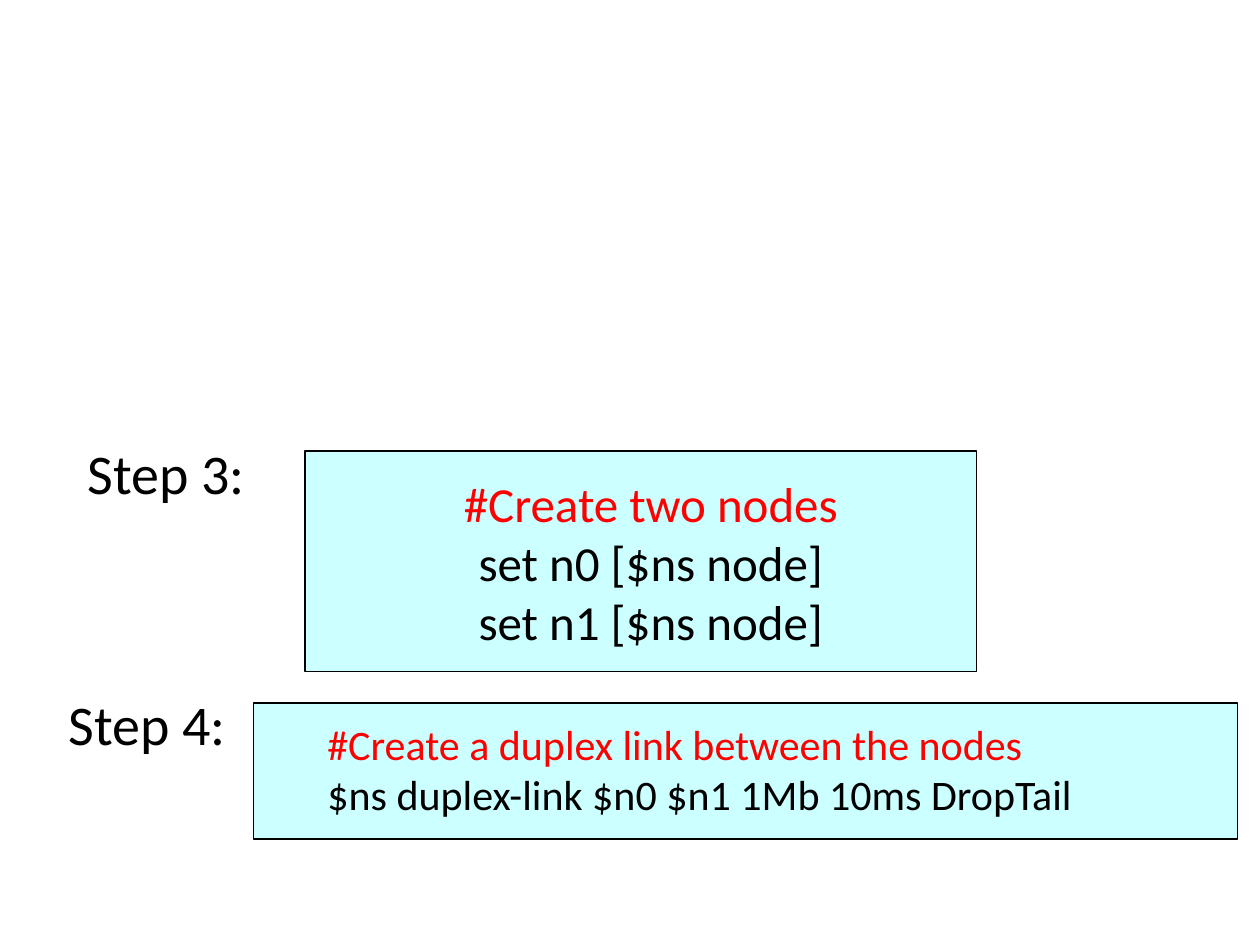
from pptx import Presentation
from pptx.dml.color import RGBColor
from pptx.enum.shapes import MSO_SHAPE
from pptx.enum.text import MSO_AUTO_SIZE, PP_ALIGN
from pptx.util import Inches, Pt

RECT = MSO_SHAPE.RECTANGLE
FIT = MSO_AUTO_SIZE.SHAPE_TO_FIT_TEXT
LEFT, MID = PP_ALIGN.LEFT, PP_ALIGN.CENTER
BLACK, RED, CYAN = "000000", "FF0000", "CCFFFF"


def color(code):
    """Turn a hex string into a colour."""
    return RGBColor.from_string(code)


def write(area, lines, size, align, wrap=True):
    """Add a text box with one paragraph per (text, colour) pair."""
    box = slide.shapes.add_textbox(*map(Inches, area))
    frame = box.text_frame
    frame.word_wrap = wrap
    frame.auto_size = FIT
    frame.text = "\n".join(text for text, code in lines)
    for par, (text, code) in zip(frame.paragraphs, lines):
        par.alignment = align
        par.font.name = "Calibri"
        par.font.size = Pt(size)
        par.font.color.rgb = color(code)


deck = Presentation()
deck.slide_width, deck.slide_height = Inches(10), Inches(7.5)
slide = deck.slides.add_slide(deck.slide_layouts[6])

# Each step: label, label area, panel area, code area, size, alignment, code
steps = [
    ("Step 3:", (0.48, 3.43, 1.68, 0.63), (2.42, 3.58, 5.33, 1.75),
     (2.5, 3.71, 5.33, 1.5), 28, MID,
     ["#Create two nodes", "set n0 [$ns node]", "set n1 [$ns node]"]),
    ("Step 4:", (0.33, 5.42, 1.68, 0.63), (2.01, 5.58, 7.81, 1.08),
     (2.5, 5.65, 7.4, 0.91), 24, LEFT,
     ["#Create a duplex link between the nodes",
      "$ns duplex-link $n0 $n1 1Mb 10ms DropTail"]),
]

for label, spot, area, inner, size, align, code in steps:
    panel = slide.shapes.add_shape(RECT, *map(Inches, area))
    panel.shadow.inherit = False
    panel.fill.solid()
    panel.fill.fore_color.rgb = color(CYAN)
    panel.line.color.rgb = color(BLACK)
    panel.line.width = Pt(0.75)

    write(spot, [(label, BLACK)], 32, MID, wrap=False)
    lines = [(text, RED if text.startswith("#") else BLACK) for text in code]
    write(inner, lines, size, align)

deck.save("out.pptx")
